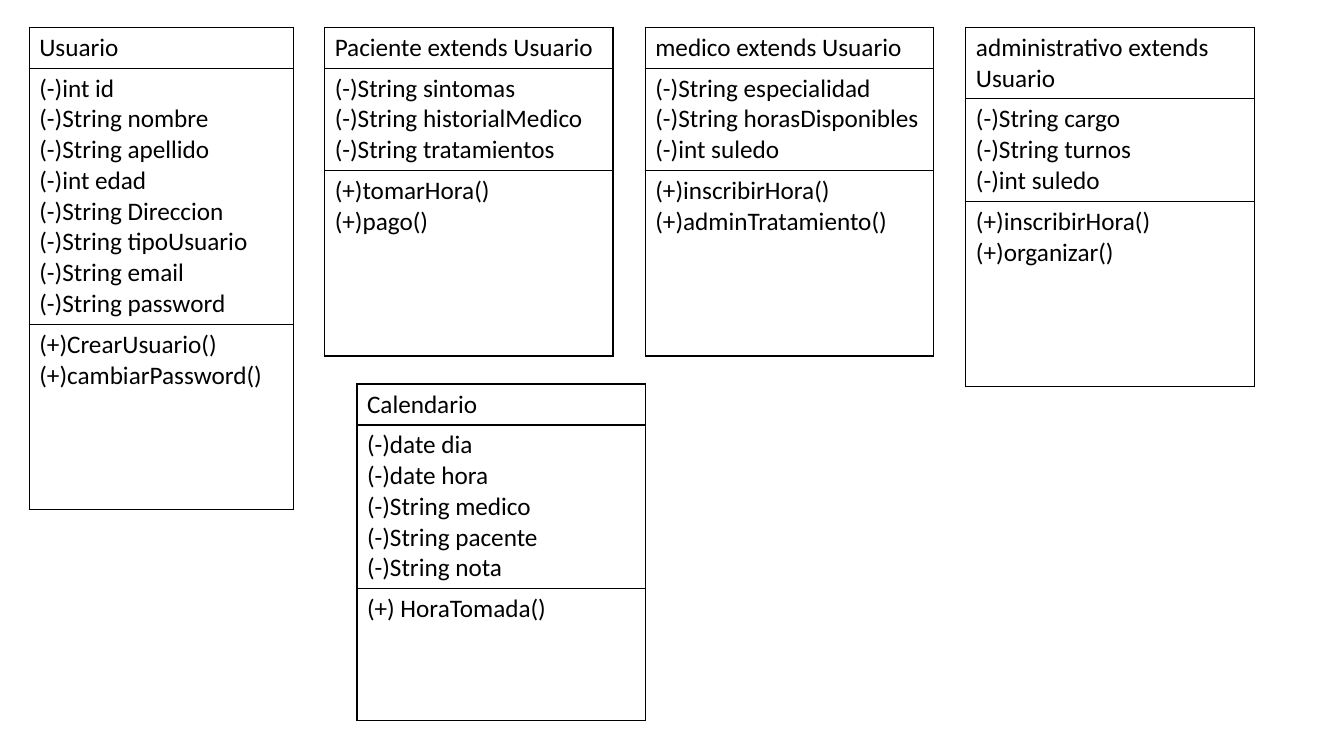
from dataclasses import dataclass

from lxml.etree import SubElement
from pptx import Presentation
from pptx.dml.color import RGBColor
from pptx.oxml.ns import qn
from pptx.slide import Slide
from pptx.table import _Cell as Cell
from pptx.util import Inches, Pt

BLACK = RGBColor(0x00, 0x00, 0x00)
WHITE = RGBColor(0xFF, 0xFF, 0xFF)
FONT = "Calibri"
LINE_HEIGHT = 0.305
ROW_PADDING = 0.1
TOP = 0.27


@dataclass(frozen=True)
class ClassBox:
    """A class with its attributes and methods; lengths are in inches."""

    name: str
    attributes: tuple[str, ...]
    methods: tuple[str, ...]
    left: float
    top: float = TOP
    width: float = 2.86
    methods_height: float = 1.84
    name_lines: int = 1


CLASSES = (
    ClassBox(
        "Usuario",
        ("(-)int id", "(-)String nombre", "(-)String apellido", "(-)int edad",
         "(-)String Direccion", "(-)String tipoUsuario", "(-)String email",
         "(-)String password"),
        ("(+)CrearUsuario()", "(+)cambiarPassword()"),
        left=0.29, width=2.62,
    ),
    ClassBox(
        "Paciente extends Usuario",
        ("(-)String sintomas", "(-)String historialMedico", "(-)String tratamientos"),
        ("(+)tomarHora()", "(+)pago()"),
        left=3.22,
    ),
    ClassBox(
        "medico extends Usuario",
        ("(-)String especialidad", "(-)String horasDisponibles", "(-)int suledo"),
        ("(+)inscribirHora()", "(+)adminTratamiento()"),
        left=6.4,
    ),
    ClassBox(
        "administrativo extends Usuario",
        ("(-)String cargo", "(-)String turnos", "(-)int suledo"),
        ("(+)inscribirHora()", "(+)organizar()"),
        left=9.58, name_lines=2,
    ),
    ClassBox(
        "Calendario",
        ("(-)date dia", "(-)date hora", "(-)String medico", "(-)String pacente",
         "(-)String nota"),
        ("(+) HoraTomada()",),
        left=3.54, top=3.81, methods_height=1.31,
    ),
)


def text_height(lines: int) -> float:
    """Return the height in inches of a row with this many lines."""
    return ROW_PADDING + LINE_HEIGHT * lines


def add_borders(cell: Cell, color: RGBColor = BLACK, width: float = 1) -> None:
    """Draw a solid border on all four sides of a cell."""
    properties = cell._tc.get_or_add_tcPr()
    for side in ("a:lnL", "a:lnR", "a:lnT", "a:lnB"):
        line = SubElement(properties, qn(side), w=str(Pt(width)))
        fill = SubElement(line, qn("a:solidFill"))
        SubElement(fill, qn("a:srgbClr"), val=str(color))


def write_lines(cell: Cell, lines: tuple[str, ...], *, size: float = 18,
                font: str = FONT, color: RGBColor = BLACK) -> None:
    """Write one paragraph per line into a cell."""
    frame = cell.text_frame
    for index, line in enumerate(lines):
        para = frame.add_paragraph() if index else frame.paragraphs[0]
        span = para.add_run()
        span.text = line
        span.font.size = Pt(size)
        span.font.name = font
        span.font.color.rgb = color


def add_class(page: Slide, box: ClassBox) -> None:
    """Add a class as a table of name, attributes and methods."""
    sections = ((box.name,), box.attributes, box.methods)
    heights = (text_height(box.name_lines), text_height(len(box.attributes)),
               box.methods_height)
    table = page.shapes.add_table(
        len(sections), 1, Inches(box.left), Inches(box.top),
        Inches(box.width), Inches(sum(heights)),
    ).table
    table.first_row = False
    table.horz_banding = False
    for row, lines, height in zip(table.rows, sections, heights):
        row.height = Inches(height)
        cell = row.cells[0]
        add_borders(cell)
        cell.fill.solid()
        cell.fill.fore_color.rgb = WHITE
        write_lines(cell, lines)


def main() -> None:
    """Build the class diagram and save it."""
    deck = Presentation()
    deck.slide_width = Inches(13.33)
    deck.slide_height = Inches(7.5)
    page = deck.slides.add_slide(deck.slide_layouts[6])
    for box in CLASSES:
        add_class(page, box)
    deck.save("out.pptx")


main()
